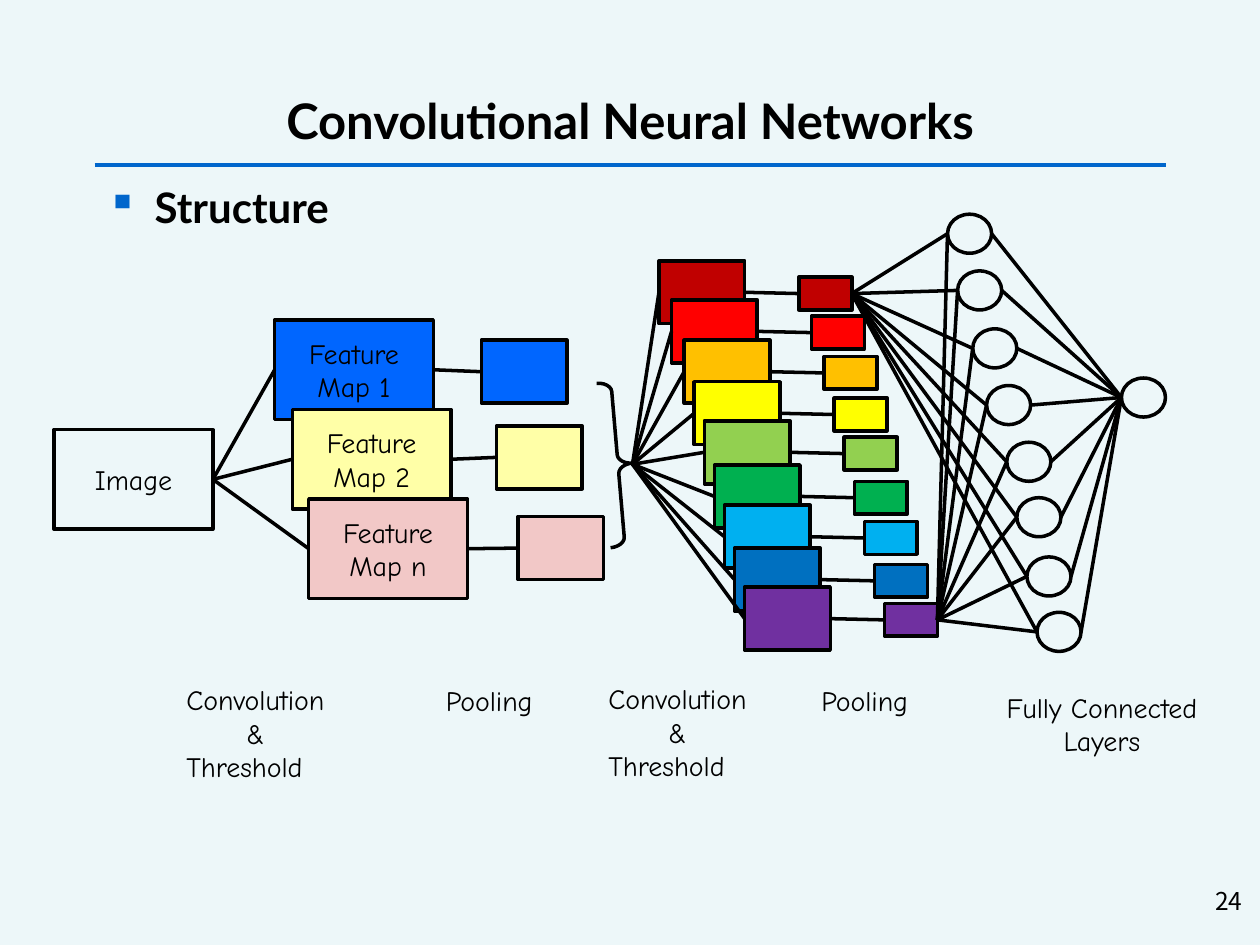
from collections import namedtuple

from lxml import etree
from pptx import Presentation
from pptx import util as u
from pptx.dml.color import RGBColor
from pptx.enum import shapes, text
from pptx.oxml.ns import qn

PX = 9144  # EMU in one px, 100 px to the inch
COLORS = {
    "paper": "EDF7F9", "ink": "000000", "accent": "0066CC",
    "blue": "0066FF", "cream": "FFFFA7", "pink": "F2C8C7",
}
RAINBOW = {
    "dark red": "C00000", "red": "FF0000", "orange": "FFC000",
    "yellow": "FFFF00", "lime": "92D050", "green": "00B050",
    "sky": "00B0F0", "navy": "0070C0", "purple": "7030A0",
}
HEADING, LABEL, NUMBER = "Lato", "Comic Neue", "Noto Sans CJK KR"
LEFT, CENTER, RIGHT = text.PP_ALIGN.LEFT, text.PP_ALIGN.CENTER, text.PP_ALIGN.RIGHT
RECTANGLE = shapes.MSO_SHAPE.RECTANGLE
Box = namedtuple("Box", "left top width height")


def emu(*lengths):
    return [u.Emu(length * PX) for length in lengths]


def rgb(color):
    return RGBColor.from_string(color)


def write(frame, content, font=LABEL, size=16, bold=False, aligns=(CENTER,)):
    """Fill a frame line by line; the last alignment holds for further lines."""
    for index, line in enumerate(content.split("\n")):
        para = frame.paragraphs[0] if index == 0 else frame.add_paragraph()
        para.alignment = aligns[min(index, len(aligns) - 1)]
        span = para.add_run()
        span.text = line
        span.font.name = font
        span.font.size = u.Pt(size)
        span.font.bold = bold
        span.font.color.rgb = rgb(COLORS["ink"])


def add_text(page, box, content, wrap=True, anchor=text.MSO_ANCHOR.TOP, **style):
    frame = page.shapes.add_textbox(*emu(*box)).text_frame
    frame.word_wrap = wrap
    frame.vertical_anchor = anchor
    if not wrap:
        frame.auto_size = text.MSO_AUTO_SIZE.SHAPE_TO_FIT_TEXT
    write(frame, content, **style)
    return frame


def add_outlined(page, box, fill=None, kind=RECTANGLE, label=None):
    shape = page.shapes.add_shape(kind, *emu(*box))
    shape.shadow.inherit = False
    if fill:
        shape.fill.solid()
        shape.fill.fore_color.rgb = rgb(fill)
    else:
        shape.fill.background()
    shape.line.color.rgb = rgb(COLORS["ink"])
    shape.line.width = u.Pt(2)
    if label:
        write(shape.text_frame, label)
    return shape


def add_line(page, ends, color=COLORS["ink"], width=2):
    line = page.shapes.add_connector(shapes.MSO_CONNECTOR.STRAIGHT, *ends)
    line.line.color.rgb = rgb(color)
    line.line.width = u.Pt(width)
    etree.SubElement(line._element.spPr, qn("a:effectLst"))
    return line


def link(page, source, target):
    """Draw a line from the right side of source to the left side of target."""
    line = add_line(page, (
        source.left + source.width, source.top + source.height // 2,
        target.left, target.top + target.height // 2))
    if source.auto_shape_type == RECTANGLE:
        line.begin_connect(source, 3)
    if target.auto_shape_type == RECTANGLE:
        line.end_connect(target, 1)


def add_heading(page, box):
    add_text(page, Box(box.left, box.top, box.width, 56),
             "Convolutional Neural Networks", font=HEADING, size=28, bold=True,
             anchor=text.MSO_ANCHOR.MIDDLE)
    rule = box.top + 64
    add_line(page, emu(box.left, rule, box.left + box.width, rule), COLORS["accent"], 2.25)
    frame = add_text(page, Box(box.left, box.top + 72, box.width, box.height - 72),
                     "Structure", font=HEADING, size=24, bold=True, aligns=(LEFT,))
    para = frame.paragraphs[0]
    para.space_before = u.Pt(5)
    layout = para._p.get_or_add_pPr()
    indent = 38 * PX
    layout.set("marL", str(indent))
    layout.set("indent", str(-indent))
    bullet_color = etree.SubElement(layout, qn("a:buClr"))
    etree.SubElement(bullet_color, qn("a:srgbClr"), val=COLORS["accent"])
    etree.SubElement(layout, qn("a:buChar"), char="▪")


def add_first_stage(page, box):
    """Image, feature maps and their pools, closed by a brace that is returned."""
    def place(x, y, width, height):
        return Box(box.left + x, box.top + y, width, height)

    image = add_outlined(page, place(0, 87, 126, 79), COLORS["paper"], label="Image")
    rows = [("1", "blue", 175, (339, 16)), ("2", "cream", 189, (351, 84)),
            ("n", "pink", 202, (368, 156))]
    maps = [add_outlined(page, place(x, 71 * index, 126, 79), COLORS[color],
                         label=f"Feature\nMap {name}")
            for index, (name, color, x, _) in enumerate(rows)]
    for feature_map, (_, color, _, corner) in zip(maps, rows):
        pool = add_outlined(page, place(*corner, 68, 50), COLORS[color])
        link(page, image, feature_map)
        link(page, feature_map, pool)
    brace = add_outlined(page, place(436, 49, 23, 131),
                         kind=shapes.MSO_SHAPE.RIGHT_BRACE)
    brace.adjustments[0], brace.adjustments[1] = 0.33, 0.5
    brace.rotation = -4.9
    return brace


def add_second_stage(page, box, source):
    """Cascade of maps fed by source; returns the pools."""
    tops = [0, 31, 63, 96, 127, 162, 194, 228, 259]
    corners = [(box.left + 8 * index + 2 * min(index, 2), box.top + top)
               for index, top in enumerate(tops)]
    maps = [add_outlined(page, Box(x, y, 68, 50), color)
            for (x, y), color in zip(corners, RAINBOW.values())]
    pools = [add_outlined(page, Box(x + 111, y + 13, 42, 26), color)
             for (x, y), color in zip(corners, RAINBOW.values())]
    for feature_map, pool in zip(maps, pools):
        link(page, source, feature_map)
        link(page, feature_map, pool)
    return pools


def add_dense_layers(page, box, sources):
    def add_node(x, y):
        return add_outlined(page, Box(box.left + x, box.top + y, 35, 31),
                            COLORS["paper"], shapes.MSO_SHAPE.OVAL)

    hidden = [add_node(*corner) for corner in (
        (0, 0), (8, 45), (20, 91), (31, 136), (47, 181), (55, 225), (63, 272), (71, 316))]
    output = add_node(138, 130)
    for node in hidden:
        link(page, node, output)
        for source in sources:
            link(page, source, node)


def add_captions(page, box):
    convolution = "Convolution\n&\nThreshold"
    for x, y, width, height, content, aligns in (
            (0, 1, 138, 91, convolution, (LEFT, CENTER, LEFT)),
            (206, 2, 92, 37, "Pooling", (LEFT,)),
            (335, 0, 138, 91, convolution, (LEFT, CENTER, LEFT)),
            (504, 2, 92, 37, "Pooling", (LEFT,)),
            (644, 7, 185, 64, "Fully Connected\nLayers", (CENTER,))):
        add_text(page, Box(box.left + x, box.top + y, width, height), content,
                 wrap=False, aligns=aligns)


def main():
    deck = Presentation()
    deck.slide_width, deck.slide_height = emu(1000, 750)
    page = deck.slides.add_slide(deck.slide_layouts[6])
    page.background.fill.solid()
    page.background.fill.fore_color.rgb = rgb(COLORS["paper"])
    add_heading(page, Box(75, 67, 850, 600))
    brace = add_first_stage(page, Box(43, 254, 459, 221))
    pools = add_second_stage(page, Box(523, 207, 220, 309), brace)
    add_dense_layers(page, Box(752, 170, 173, 347), (pools[0], pools[-1]))
    add_captions(page, Box(138, 536, 829, 92))
    add_text(page, Box(788, 698, 208, 50), "24", font=NUMBER, size=14, aligns=(RIGHT,))
    deck.save("out.pptx")


if __name__ == "__main__":
    main()
